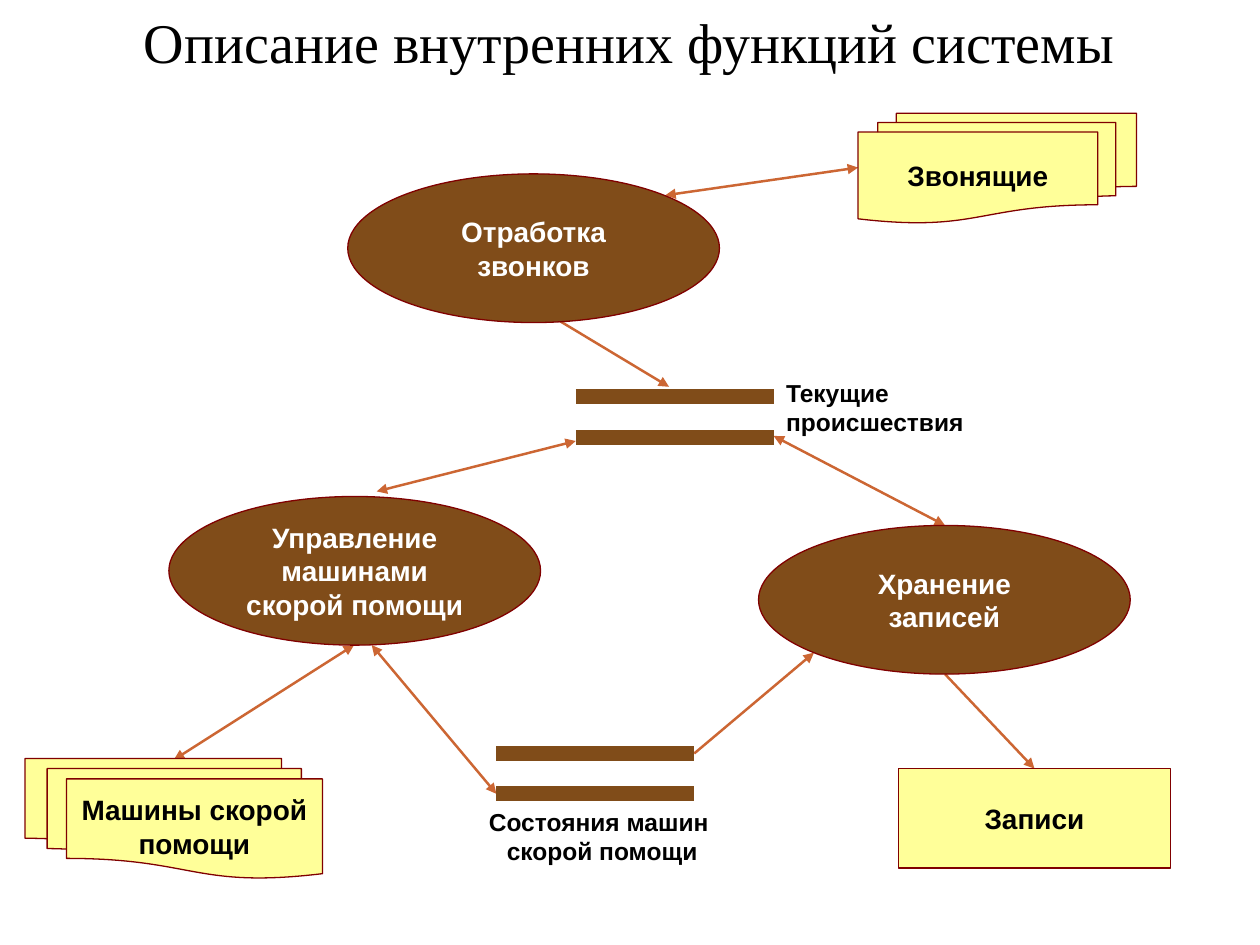
from lxml import etree
from pptx import Presentation
from pptx.dml.color import RGBColor
from pptx.enum.shapes import MSO_CONNECTOR, MSO_SHAPE
from pptx.enum.text import MSO_ANCHOR, PP_ALIGN
from pptx.oxml.ns import qn
from pptx.util import Inches, Pt

STRAIGHT = MSO_CONNECTOR.STRAIGHT
ELLIPSE = MSO_SHAPE.OVAL
RECT = MSO_SHAPE.RECTANGLE
MULTIDOC = MSO_SHAPE.FLOWCHART_MULTIDOCUMENT
MIDDLE = MSO_ANCHOR.MIDDLE
CENTER = PP_ALIGN.CENTER
LEFT = PP_ALIGN.LEFT

BLACK, WHITE = "000000", "FFFFFF"
BROWN, YELLOW = "804C19", "FFFF99"
BORDER, ARROW = "800000", "CC6633"


def rgb(value):
    return RGBColor.from_string(value)


def set_text(sp, text, size, color, font="Arial", bold=True, align=CENTER, wrap=True, inset=0.1):
    tf = sp.text_frame
    tf.text = text
    tf.word_wrap = wrap
    tf.vertical_anchor = MIDDLE
    tf.margin_left = tf.margin_right = Inches(inset)
    tf.margin_top = tf.margin_bottom = Inches(0.05)
    p = tf.paragraphs[0]
    p.alignment = align
    for r in p.runs:
        r.font.name = font
        r.font.size = Pt(size)
        r.font.bold = bold
        r.font.color.rgb = rgb(color)


prs = Presentation()
prs.slide_width, prs.slide_height = Inches(10), Inches(7.5)
s = prs.slides.add_slide(prs.slide_layouts[6])

title = s.shapes.add_textbox(Inches(0.5), Inches(-0.24), Inches(8.99), Inches(1.14))
set_text(title, "Описание внутренних функций системы", 32, BLACK, "Times New Roman", False)

BOTH = ("headEnd", "tailEnd")
END = ("tailEnd",)
lines = [
    (2.81, 5.12, 1.38, 6.03, ARROW, 1.42, BOTH),
    (7.5, 5.35, 8.21, 6.1, ARROW, 1.42, END),
    (6.81, 1.33, 5.28, 1.55, ARROW, 1.42, BOTH),
    (7.5, 4.17, 6.14, 3.46, ARROW, 1.42, BOTH),
    (5.51, 5.98, 6.46, 5.18, ARROW, 1.42, END),
    (2.99, 3.9, 4.57, 3.5, ARROW, 1.42, BOTH),
    (2.95, 5.12, 3.94, 6.3, ARROW, 1.42, BOTH),
    (4.33, 2.48, 5.31, 3.07, ARROW, 1.42, END),
]
for x, y in [(4.57, 3.15), (3.94, 5.98)]:
    for bar_y in (y, y + 0.32):
        lines.append((x, bar_y, x + 1.57, bar_y, BROWN, 8.5, ()))

for x1, y1, x2, y2, color, width, ends in lines:
    line = s.shapes.add_connector(STRAIGHT, Inches(x1), Inches(y1), Inches(x2), Inches(y2))
    line.line.color.rgb = rgb(color)
    line.line.width = Pt(width)
    ln = line.line._get_or_add_ln()
    for end in ends:
        etree.SubElement(ln, qn(f"a:{end}"), type="triangle")
    etree.SubElement(line._element.spPr, qn("a:effectLst"))

nodes = [
    (MULTIDOC, 0.2, 6.02, 2.36, 0.95, "Машины скорой помощи", YELLOW, BLACK, 0.02, True),
    (MULTIDOC, 6.81, 0.9, 2.21, 0.87, "Звонящие", YELLOW, BLACK, 0.02, False),
    (RECT, 7.13, 6.1, 2.16, 0.79, "Записи", YELLOW, BLACK, 0.1, False),
    (ELLIPSE, 1.34, 3.94, 2.95, 1.18, "Управление машинами скорой помощи", BROWN, WHITE, 0.1, False),
    (ELLIPSE, 6.02, 4.17, 2.95, 1.18, "Хранение записей", BROWN, WHITE, 0.1, False),
    (ELLIPSE, 2.76, 1.38, 2.95, 1.18, "Отработка звонков", BROWN, WHITE, 0.1, False),
]
for kind, x, y, w, h, text, fill, color, inset, flipped in nodes:
    sp = s.shapes.add_shape(kind, Inches(x), Inches(y), Inches(w), Inches(h))
    sp.shadow.inherit = False
    sp.fill.solid()
    sp.fill.fore_color.rgb = rgb(fill)
    sp.line.color.rgb = rgb(BORDER)
    sp.line.width = Pt(0.75)
    if flipped:
        sp._element.spPr.find(qn("a:xfrm")).set("flipH", "1")
    set_text(sp, text, 16, color, inset=inset)

labels = [
    (3.7, 6.42, 0.43, "Состояния машин \vскорой помощи", CENTER),
    (6.14, 3.15, 0.16, "Текущие \vпроисшествия", LEFT),
]
for x, y, h, text, align in labels:
    label = s.shapes.add_textbox(Inches(x), Inches(y), Inches(2.16), Inches(h))
    set_text(label, text, 14, BLACK, align=align, wrap=False)

prs.save("out.pptx")
